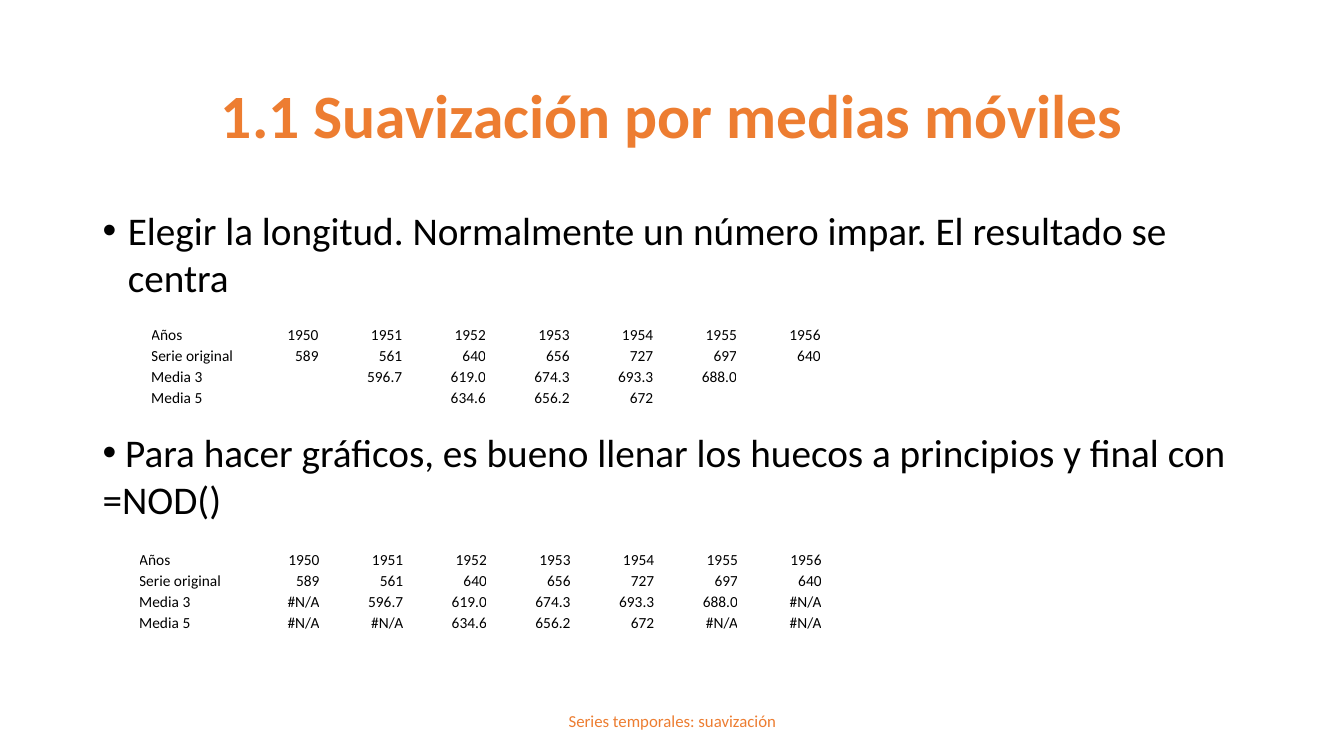
from dataclasses import dataclass

from lxml.etree import SubElement
from pptx import Presentation
from pptx.dml.color import RGBColor
from pptx.enum.text import MSO_ANCHOR, PP_ALIGN
from pptx.oxml.ns import qn
from pptx.util import Inches, Pt


@dataclass(frozen=True)
class Theme:
    """Colours, font and type sizes of the slide."""
    font: str = "Calibri"
    accent: RGBColor = RGBColor(0xED, 0x7D, 0x31)
    ink: RGBColor = RGBColor(0, 0, 0)
    title: int = 44
    body: int = 28
    foot: int = 12
    cell: int = 11


THEME = Theme()
YEARS = ["Años", "1950", "1951", "1952", "1953", "1954", "1955", "1956"]
SERIES = ["Serie original", "589", "561", "640", "656", "727", "697", "640"]
MEANS = {
    "Media 3": ["596.7", "619.0", "674.3", "693.3", "688.0"],
    "Media 5": ["634.6", "656.2", "672"],
}


def add_text(para, text, size, color, bold=False):
    """Add one styled run to a paragraph."""
    run = para.add_run()
    run.text = text
    font = run.font
    font.name, font.size, font.bold = THEME.font, Pt(size), bold
    font.color.rgb = color


def add_box(slide, left, top, width, height, anchor):
    """Add a wrapping text box and return its frame."""
    box = slide.shapes.add_textbox(
        Inches(left), Inches(top), Inches(width), Inches(height))
    frame = box.text_frame
    frame.word_wrap = True
    frame.vertical_anchor = anchor
    return frame


def add_label(slide, place, text, size, bold=False):
    """Add a centred line in the accent colour."""
    frame = add_box(slide, *place, MSO_ANCHOR.MIDDLE)
    para = frame.paragraphs[0]
    para.alignment = PP_ALIGN.CENTER
    add_text(para, text, size, THEME.accent, bold)


def add_bullet(para, text, indent):
    """Fill a paragraph as a bullet with a hanging indent."""
    props = para._p.get_or_add_pPr()
    props.set("marL", str(Inches(indent)))
    props.set("indent", str(-Inches(indent)))
    SubElement(props, qn("a:buFont"), typeface="Arial")
    SubElement(props, qn("a:buChar"), char="•")
    add_text(para, text, THEME.body, THEME.ink)


def pad_row(name, means, gap):
    """Centre the means under the years, with gap text at both ends."""
    side = [gap] * ((len(YEARS) - 1 - len(means)) // 2)
    return [name, *side, *means, *side]


def fill_cell(cell, text, align):
    """Style one table cell and write its text."""
    cell.fill.background()
    cell.margin_left = cell.margin_right = 0
    cell.margin_top = cell.margin_bottom = 0
    cell.vertical_anchor = MSO_ANCHOR.BOTTOM
    para = cell.text_frame.paragraphs[0]
    para.alignment = align
    if text:
        add_text(para, text, THEME.cell, THEME.ink)
    else:
        SubElement(para._p, qn("a:endParaRPr"), sz=str(THEME.cell * 100))


def add_grid(slide, left, top, first, gap):
    """Add the table of years, series and moving means."""
    rows = [YEARS, SERIES]
    rows += [pad_row(name, means, gap) for name, means in MEANS.items()]
    widths = [first] + [0.83] * (len(YEARS) - 1)
    high = 0.21
    table = slide.shapes.add_table(
        len(rows), len(widths), Inches(left), Inches(top),
        Inches(sum(widths)), Inches(high * len(rows))).table
    table.first_row = table.horz_banding = False
    for col, width in zip(table.columns, widths):
        col.width = Inches(width)
    for r, row in enumerate(rows):
        table.rows[r].height = Inches(high)
        for c, text in enumerate(row):
            align = PP_ALIGN.RIGHT if c else PP_ALIGN.LEFT
            fill_cell(table.cell(r, c), text, align)


def main():
    """Build the slide and save it."""
    deck = Presentation()
    deck.slide_width, deck.slide_height = Inches(13.33), Inches(7.5)
    slide = deck.slides.add_slide(deck.slide_layouts[6])
    add_label(slide, (0.92, 0.4, 11.5, 1.45),
              "1.1 Suavización por medias móviles", THEME.title, True)
    body = add_box(slide, 0.92, 2, 11.5, 4.76, MSO_ANCHOR.TOP)
    add_bullet(body.paragraphs[0], "Elegir la longitud. Normalmente un "
               "número impar. El resultado se centra", 0.25)
    para = body.add_paragraph()
    para.space_before = Pt(91)
    add_bullet(para, " Para hacer gráficos, es bueno llenar los huecos a "
               "principios y final con =NOD()", 0)
    add_label(slide, (4.42, 6.95, 4.5, 0.4),
              "Series temporales: suavización", THEME.foot)
    add_grid(slide, 1.5, 3.21, 0.83, "")
    add_grid(slide, 1.38, 5.44, 0.96, "#N/A")
    deck.save("out.pptx")


if __name__ == "__main__":
    main()
